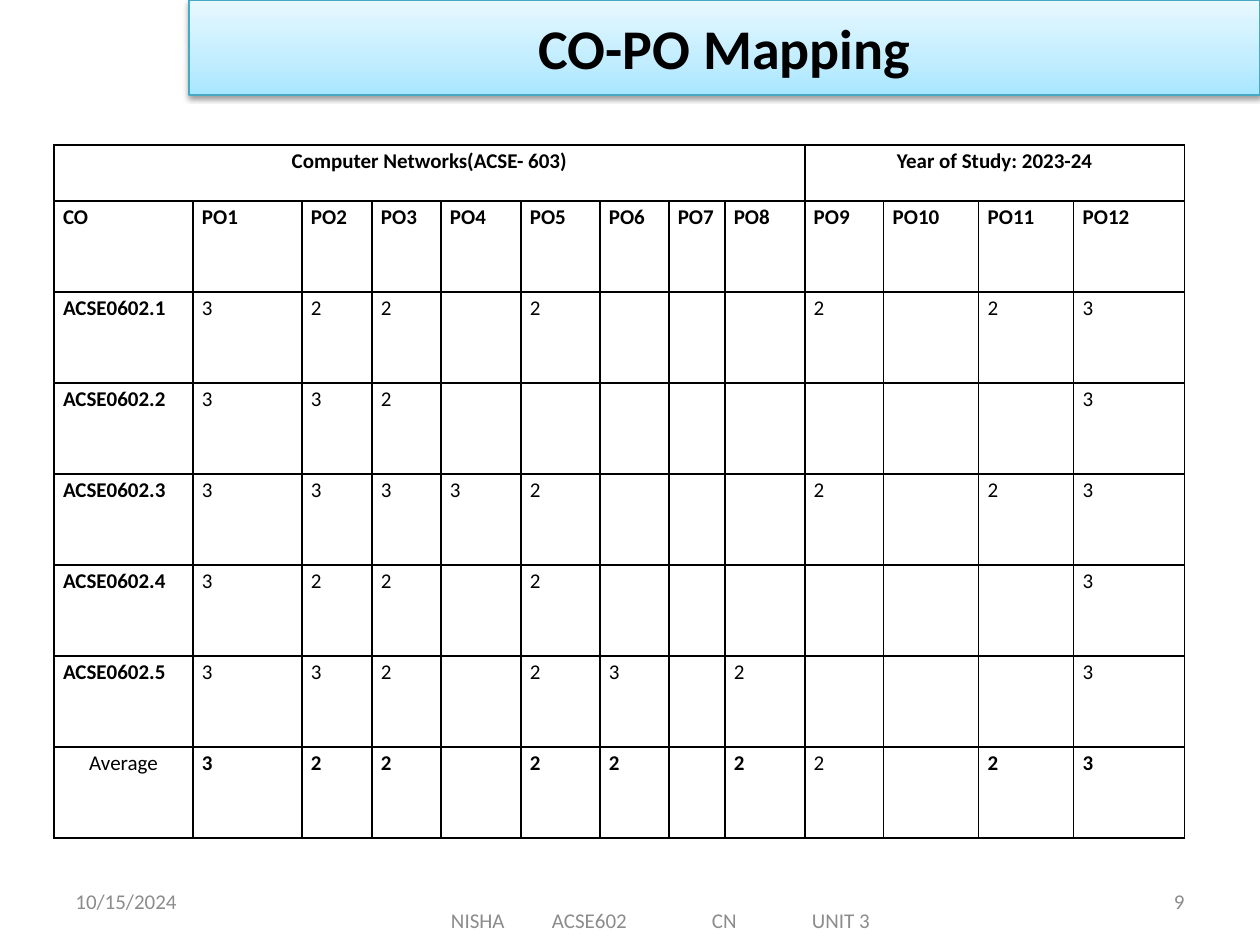
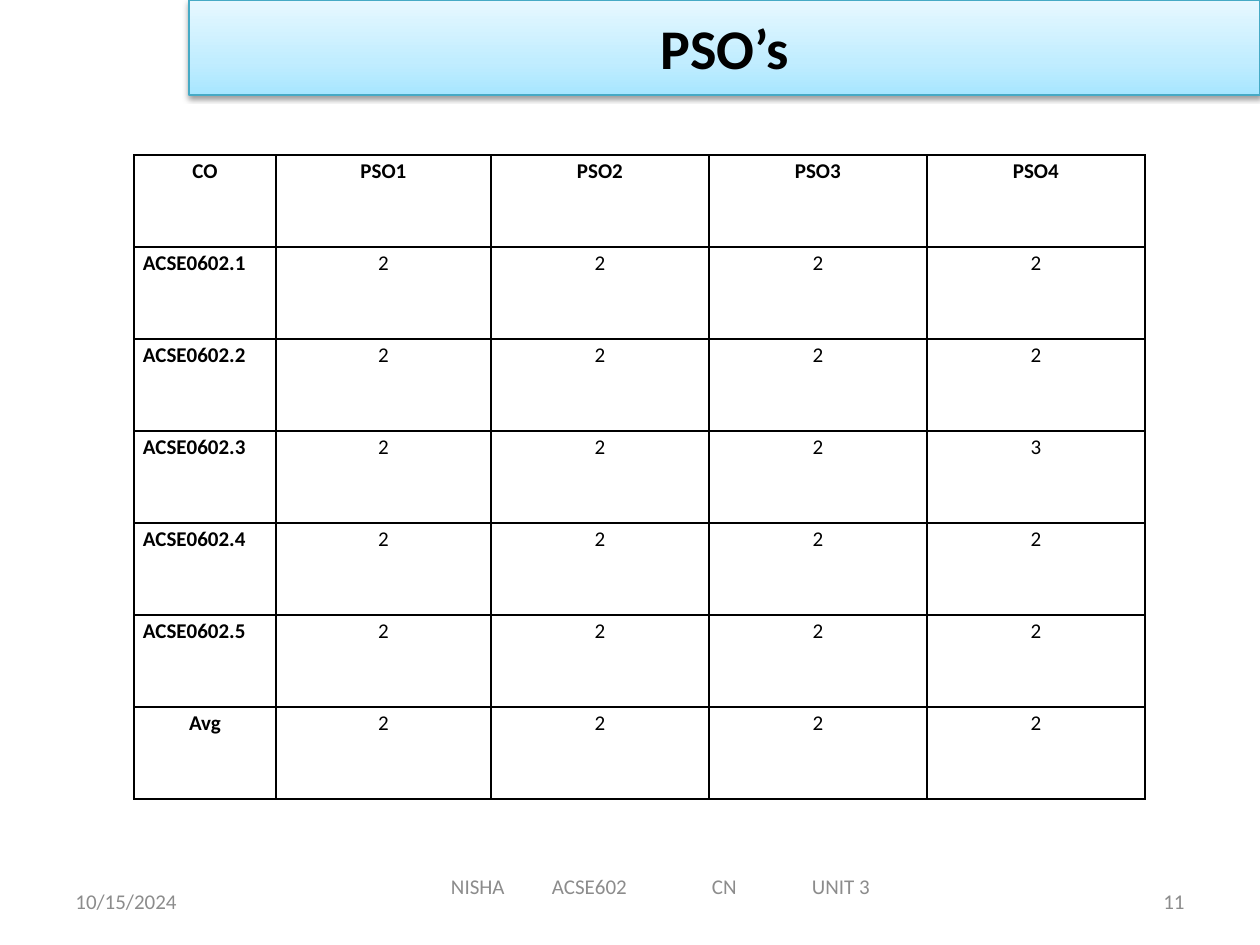
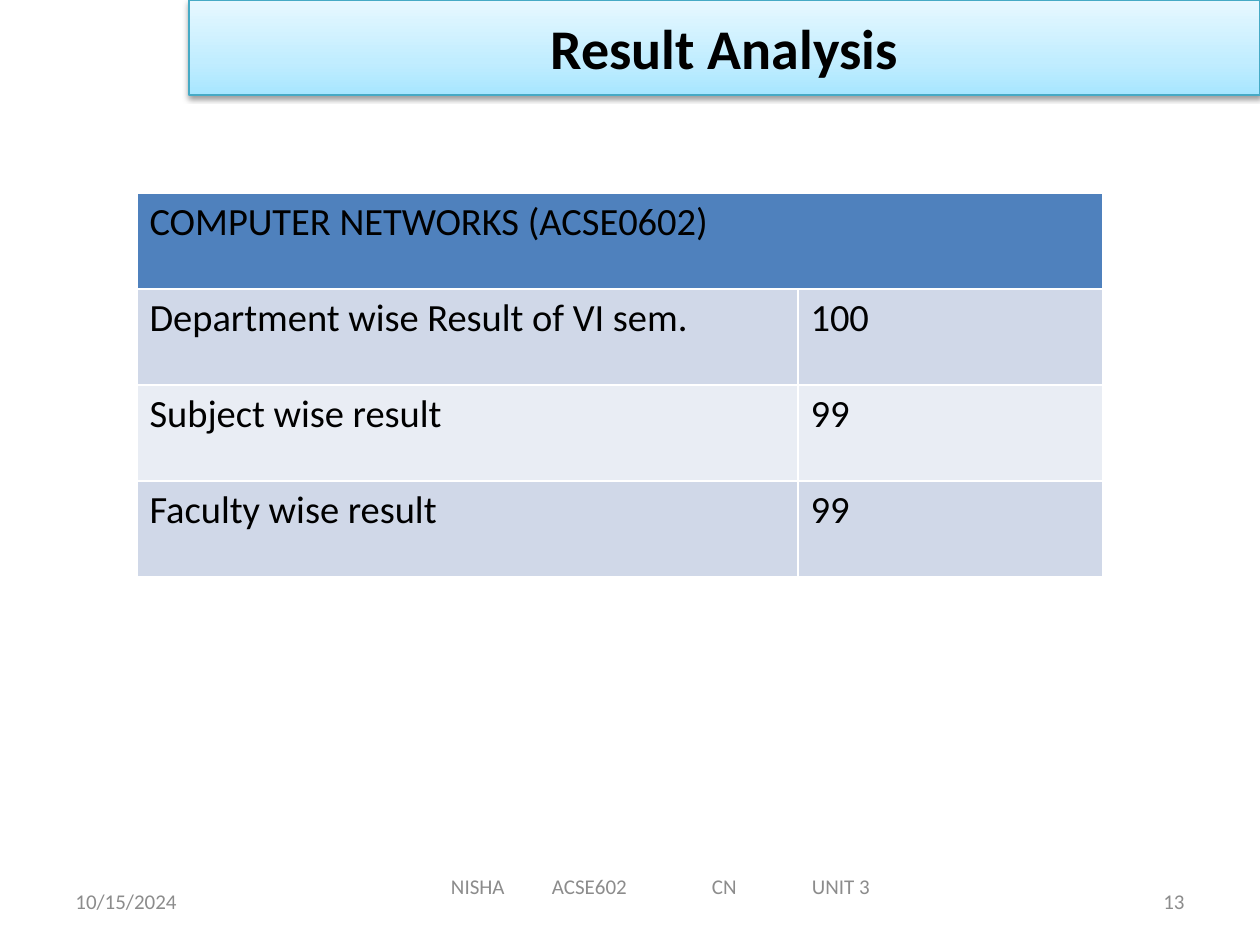
from copy import deepcopy

from lxml import etree
from pptx import Presentation
from pptx.dml.color import RGBColor
from pptx.enum.shapes import MSO_SHAPE
from pptx.enum.text import MSO_ANCHOR, PP_ALIGN
from pptx.oxml.ns import qn
from pptx.util import Emu, Pt

RECT = MSO_SHAPE.RECTANGLE
MIDDLE = MSO_ANCHOR.MIDDLE
LEFT, CENTER, RIGHT = PP_ALIGN.LEFT, PP_ALIGN.CENTER, PP_ALIGN.RIGHT

FONT = "Calibri"
BLACK, WHITE, GREY, EDGE = "000000", "FFFFFF", "8C8C8C", "46AAC5"
HEAD, DARK, PALE = "4F81BD", "D0D8E8", "E9EDF4"
BAND = [(0, "A7E6FF"), (0.35, "C1EDFF"), (1, "E7F8FF")]

DATE = "10/15/2024"
COURSE = ["NISHA", "ACSE602", "CN", "UNIT 3"]
COURSE_TABS = [101, 261, 361]

CODES = [f"ACSE0602.{n}" for n in range(1, 6)]
# One character per PO column, a dot for an empty cell.
PO_MARKS = ["322.2...2.23", "332........3", "33332...2.23",
            "322.2......3", "332.23.2...3", "322.22.22.23"]
PO_ROWS = [
    ["Computer Networks(ACSE- 603)"] + [""] * 8
    + ["Year of Study: 2023-24"] + [""] * 3,
    ["CO"] + [f"PO{n}" for n in range(1, 13)],
] + [[name] + list(marks.replace(".", " "))
     for name, marks in zip(CODES + ["Average"], PO_MARKS)]

PSO_MARKS = ["2222", "2222", "2223", "2222", "2222", "2222"]
PSO_ROWS = [["CO"] + [f"PSO{n}" for n in range(1, 5)]] + [
    [name] + list(marks) for name, marks in zip(CODES + ["Avg"], PSO_MARKS)]

RESULT_ROWS = [
    ["COMPUTER NETWORKS (ACSE0602)", ""],
    ["Department wise Result of VI sem.", "100"],
    ["Subject wise result", "99"],
    ["Faculty wise result", "99"],
]


def po_bold(row, col):
    if row == 7:
        return col not in (0, 9)
    return row < 2 or col == 0


SLIDES = [
    dict(title="CO-PO Mapping", page=9, foot=895, table=dict(
        rows=PO_ROWS, at=(54, 145), heights=[56] + [91] * 7,
        widths=[139, 109, 70, 69, 80, 79, 69, 56, 80, 79, 95, 95, 111],
        spans=[(0, 0, 8), (0, 9, 12)], bold=po_bold,
        mid=lambda row, col: row == 0 or (row, col) == (7, 0))),
    dict(title="PSO’s", page=11, foot=861, table=dict(
        rows=PSO_ROWS, at=(134, 155), heights=[92] * 7,
        widths=[142, 215, 218, 218, 218],
        bold=lambda row, col: row == 0 or col == 0,
        mid=lambda row, col: col > 0 or row in (0, 6))),
    dict(title="Result Analysis", page=13, foot=861, table=dict(
        rows=RESULT_ROWS, at=(137, 193), heights=[96] * 4,
        widths=[661, 305], spans=[(0, 0, 1)], size=22, edge=WHITE,
        fills=[HEAD, DARK, PALE, DARK])),
]


def px(n):
    return Emu(round(n * 914400 / 126))


def rgb(code):
    return RGBColor.from_string(code)


def style(para, size, color, bold=False, align=LEFT):
    para.alignment = align
    for run in para.runs:
        font = run.font
        font.name, font.size, font.bold = FONT, Pt(size), bold
        font.color.rgb = rgb(color)


def add_node(parent, tag, **attrs):
    node = etree.SubElement(parent, qn(tag))
    for key, value in attrs.items():
        node.set(key, str(value))
    return node


def add_title(slide, text):
    box = slide.shapes.add_shape(RECT, 0, 0, px(1071), px(95))
    box.left = px(189)
    box.line.color.rgb = rgb(EDGE)
    box.line.width = Pt(0.75)
    fill = box.fill
    fill.gradient()
    fill.gradient_angle = 90
    props = box._element.spPr
    stops = props.find(".//" + qn("a:gsLst"))
    stops.append(deepcopy(stops[-1]))
    for stop, (pos, code) in zip(fill.gradient_stops, BAND):
        stop.position = pos
        stop.color.rgb = rgb(code)
    box.shadow.inherit = False
    shade = add_node(props.find(qn("a:effectLst")), "a:outerShdw",
                     blurRad=40000, dist=20000, dir=5400000, rotWithShape=0)
    color = add_node(shade, "a:srgbClr", val=BLACK)
    add_node(color, "a:alpha", val=38000)
    frame = box.text_frame
    frame.text = text
    frame.vertical_anchor = MIDDLE
    style(frame.paragraphs[0], 32, BLACK, True, CENTER)


def add_note(slide, text, left, top, width, align=LEFT, tabs=()):
    box = slide.shapes.add_textbox(px(left), px(top), px(width), px(50))
    frame = box.text_frame
    frame.word_wrap = True
    frame.vertical_anchor = MIDDLE
    frame.text = text
    para = frame.paragraphs[0]
    if tabs:
        stops = add_node(para._p.get_or_add_pPr(), "a:tabLst")
        for stop in tabs:
            add_node(stops, "a:tab", pos=px(stop), algn="l")
    style(para, 12, GREY, align=align)
    return frame


def add_borders(cell, color):
    props = cell._tc.get_or_add_tcPr()
    for i, side in enumerate("LRTB"):
        line = etree.Element(qn("a:ln" + side), w=str(Pt(1)))
        add_node(add_node(line, "a:solidFill"), "a:srgbClr", val=color)
        props.insert(i, line)


def never(row, col):
    return False


def add_grid(slide, rows, at, heights, widths, spans=(), bold=never,
             mid=never, size=12, edge=BLACK, fills=None):
    left, top = at
    table = slide.shapes.add_table(
        len(rows), len(widths), px(left), px(top),
        px(sum(widths)), px(sum(heights))).table
    table.first_row = table.horz_banding = False
    for part, width in zip(table.columns, widths):
        part.width = px(width)
    for part, height in zip(table.rows, heights):
        part.height = px(height)
    for r, row in enumerate(rows):
        for c, text in enumerate(row):
            cell = table.cell(r, c)
            cell.text = text.strip()
            para = cell.text_frame.paragraphs[0]
            style(para, size, BLACK, bold(r, c), CENTER if mid(r, c) else LEFT)
            if fills:
                cell.fill.solid()
                cell.fill.fore_color.rgb = rgb(fills[r])
            else:
                cell.fill.background()
                cell.margin_left = cell.margin_right = px(9)
                cell.margin_top = cell.margin_bottom = 0
                para.line_spacing = 1.15
                para.space_after = Pt(10)
            add_borders(cell, edge)
    for r, first, last in spans:
        table.cell(r, first).merge(table.cell(r, last))


def main():
    deck = Presentation()
    deck.slide_width, deck.slide_height = px(1260), px(945)
    for data in SLIDES:
        slide = deck.slides.add_slide(deck.slide_layouts[6])
        add_note(slide, DATE, 63, 876, 294)
        add_note(slide, str(data["page"]), 903, 876, 294, RIGHT)
        add_title(slide, data["title"])
        foot = add_note(slide, "\t".join(COURSE), 315, data["foot"], 693,
                        tabs=COURSE_TABS)
        foot.margin_left = px(136)
        add_grid(slide, **data["table"])
    deck.save("out.pptx")


if __name__ == "__main__":
    main()
